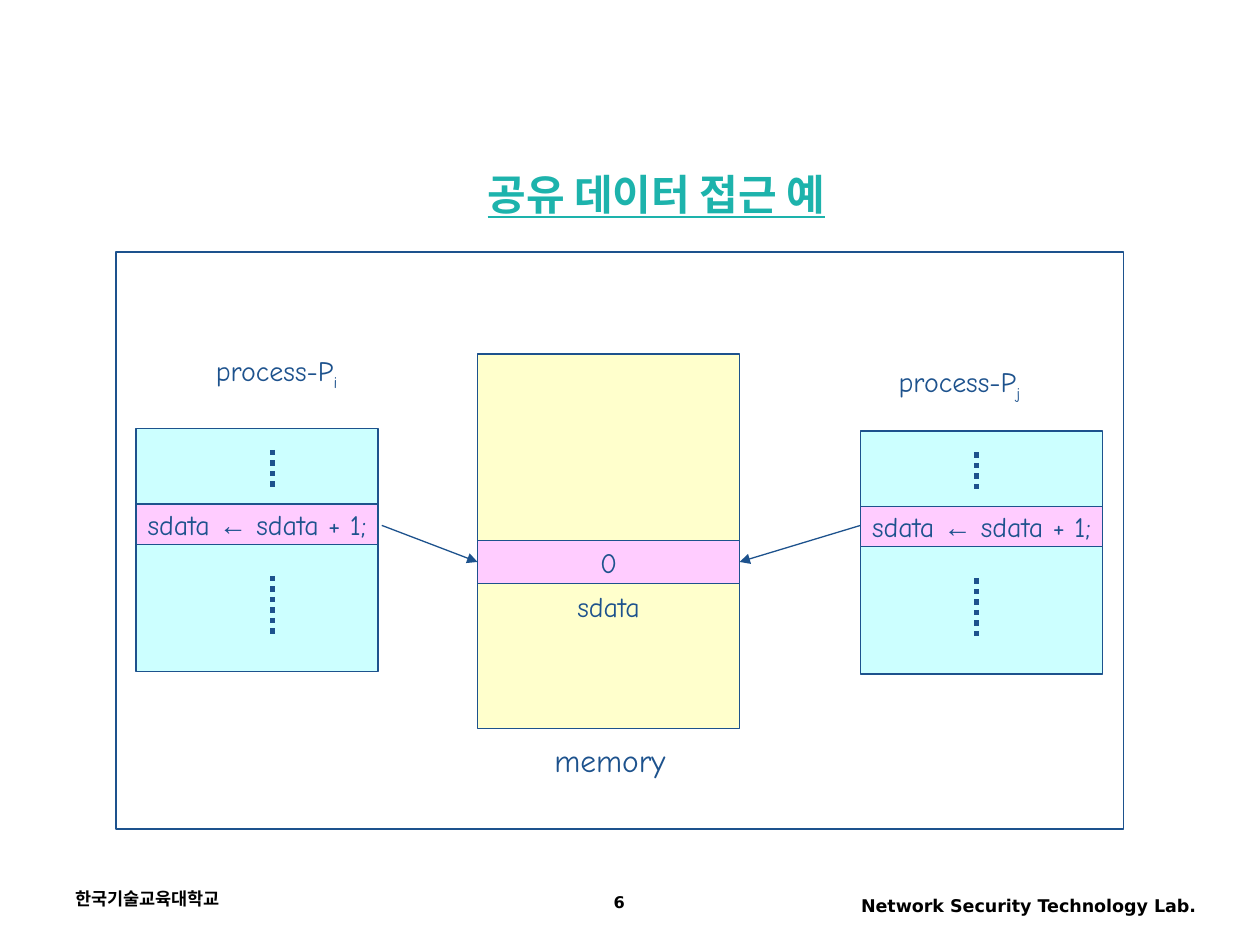
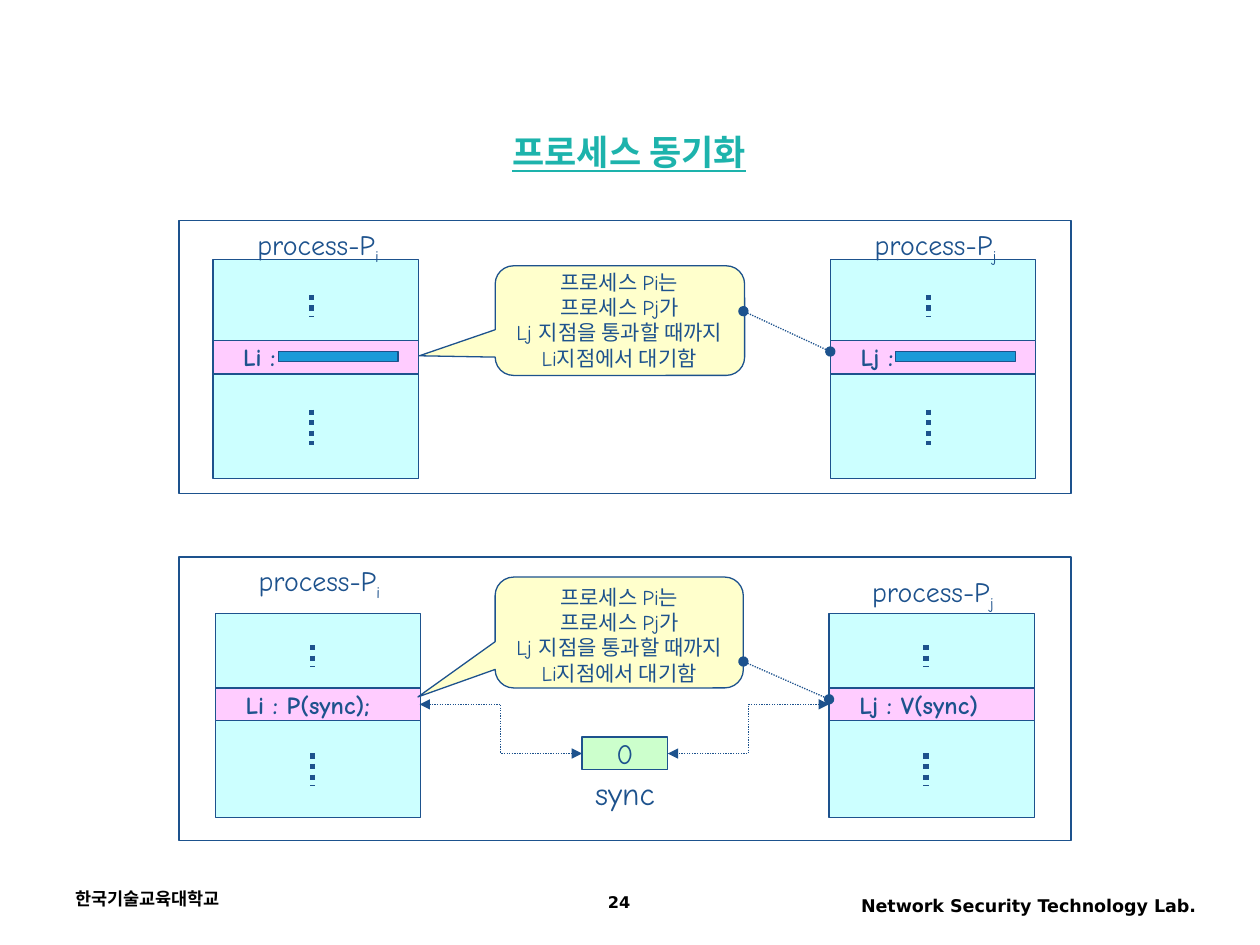
from pptx import Presentation
from pptx.dml.color import RGBColor
from pptx.enum.dml import MSO_LINE
from pptx.enum.shapes import MSO_CONNECTOR as CONN, MSO_SHAPE as SHAPE
from pptx.enum.text import MSO_ANCHOR as ANCHOR, MSO_AUTO_SIZE as FIT, PP_ALIGN as ALIGN
from pptx.oxml.ns import qn
from pptx.util import Emu, Pt
from lxml.etree import SubElement

# Shared style
PX = 9144  # 100 px to the inch
INK, TEAL, BLACK, WHITE = "1D528D", "1DB3AC", "000000", "FFFFFF"
CYAN, PINK, YELLOW, GREEN, BLUE = "CCFFFF", "FFCCFF", "FFFFCC", "CCFFCC", "1B9AD9"
BODY, HEAD, FOOT = "Comic Neue", "Arial Narrow", "DejaVu Sans"
WAIT_NOTE = ["프로세스 Pi는", "프로세스 Pj가", "Lj 지점을 통과할 때까지", "Li지점에서 대기함"]


def px(*lengths):
    return [Emu(n * PX) for n in lengths]


def rgb(value):
    return RGBColor.from_string(value)


def put(tf, lines, size=16, font=BODY, color=INK, bold=False, underline=False,
        align=ALIGN.CENTER, anchor=ANCHOR.TOP, wrap=False, fit=FIT.NONE,
        left=10, spacing=None):
    """Fill a frame; a line is a string or a list of (text, font, baseline) runs."""
    tf.auto_size, tf.word_wrap, tf.vertical_anchor = fit, wrap, anchor
    tf.margin_left, tf.margin_right, tf.margin_top, tf.margin_bottom = px(left, 10, 5, 5)
    for i, line in enumerate([lines] if isinstance(lines, str) else lines):
        p = tf.add_paragraph() if i else tf.paragraphs[0]
        p.alignment = align
        p.space_before = Pt(0)
        if spacing:
            p.line_spacing = spacing
        for text, face, base in [(line, font, 0)] if isinstance(line, str) else line:
            r = p.add_run()
            r.text = text
            r.font.name, r.font.size = face, Pt(size)
            r.font.bold, r.font.underline = bold, underline
            r.font.color.rgb = rgb(color)
            if base:
                r.font._element.set("baseline", str(base * 1000))


class Deck:
    def __init__(self):
        self.prs = Presentation()
        self.prs.slide_width, self.prs.slide_height = px(1000, 750)
        self.s = None

    def slide(self, title, box, size, number):
        self.s = self.prs.slides.add_slide(self.prs.slide_layouts[5])
        sp = self.s.shapes.title
        sp.left, sp.top, sp.width, sp.height = px(*box)
        put(sp.text_frame, title, size=size, font=HEAD, color=TEAL, bold=True,
            underline=True, anchor=ANCHOR.MIDDLE)
        footer = dict(font=FOOT, color=BLACK, bold=True, wrap=True)
        self.text((50, 700, 233, 33), "한국기술교육대학교", size=10, align=ALIGN.LEFT, **footer)
        self.text((642, 705, 317, 32), "Network Security Technology Lab.", size=10,
                  align=ALIGN.RIGHT, **footer)
        self.text((375, 705, 233, 28), str(number), size=9.2, spacing=0.9, **footer)

    def text(self, box, lines, **fmt):
        put(self.s.shapes.add_textbox(*px(*box)).text_frame, lines, **fmt)

    def label(self, box, lines, **fmt):
        self.text(box, lines, fit=FIT.SHAPE_TO_FIT_TEXT, **fmt)

    def shape(self, box, fill, lines=None, kind=SHAPE.RECTANGLE, **fmt):
        sp = self.s.shapes.add_shape(kind, *px(*box))
        sp.shadow.inherit = False
        sp.fill.solid()
        sp.fill.fore_color.rgb = rgb(fill)
        sp.line.color.rgb = rgb(INK)
        sp.line.width = Pt(0.75)
        if lines:
            put(sp.text_frame, lines, anchor=ANCHOR.MIDDLE, **fmt)
        return sp

    def line(self, start, end, kind=CONN.STRAIGHT, width=0.75, dotted=False,
             head=None, tail=None):
        sp = self.s.shapes.add_connector(kind, *px(*start, *end))
        sp.line.color.rgb = rgb(INK)
        sp.line.width = Pt(width)
        if dotted:
            sp.line.dash_style = MSO_LINE.ROUND_DOT
        spPr = sp._element.spPr
        for tag, end_type in (("a:headEnd", head), ("a:tailEnd", tail)):
            if end_type:
                SubElement(spPr.find(qn("a:ln")), qn(tag), type=end_type)
        SubElement(spPr, qn("a:effectLst"))

    def process(self, box, band, dots_x, dots, statement, **fmt):
        """Code block with a highlighted statement; band and dots are offsets."""
        x, y, w, h = box
        band_y, band_h = band
        self.shape(box, CYAN)
        self.shape((x, y + band_y, w, band_h), PINK, statement, **fmt)
        for top, bottom in dots:
            self.line((x + dots_x, y + top), (x + dots_x, y + bottom), width=3, dotted=True)

    def process_name(self, x, y, index):
        self.label((x, y, 117, 41), [[("process-P", BODY, 0), (index, BODY, -25)]])

    def callout(self, box, tip, text_y):
        sp = self.shape(box, YELLOW, kind=SHAPE.ROUNDED_RECTANGULAR_CALLOUT)
        for i, value in enumerate((*tip, 0.167)):
            sp.adjustments[i] = value
        self.label((397, text_y, 189, 90), WAIT_NOTE, size=12)


def shared_data(d):
    d.slide("공유 데이터 접근 예", (375, 133, 292, 42), 24, 6)
    d.shape((92, 200, 800, 458), WHITE)

    # Memory
    d.shape((379, 281, 208, 297), YELLOW)
    d.shape((379, 429, 208, 34), PINK, "0")
    d.label((448, 463, 70, 37), "sdata")
    d.label((430, 583, 108, 40), "memory", size=18)

    # Processes and their access to sdata
    increment = [[("sdata ", BODY, 0), ("←", "Arial", 0), (" sdata + 1;", BODY, 0)]]
    for x, y, dots_x in ((108, 340, 108), (683, 342, 92)):
        d.process((x, y, 192, 193), (60, 32), dots_x, ((17, 49), (117, 166)), increment)
    d.process_name(161, 276, "i")
    d.process_name(703, 284, "j")
    for start_x, end_x in ((303, 379), (683, 587)):
        d.line((start_x, 417), (end_x, 446), tail="triangle")


def synchronization(d):
    d.slide("프로세스 동기화", (283, 108, 433, 25), 20, 24)
    code = dict(size=14, bold=True, align=ALIGN.LEFT, left=24)

    # Requirement: Pi waits for Pj
    d.shape((142, 175, 708, 217), WHITE)
    for x, index in ((169, "i"), (659, "j")):
        d.process((x, 206, 163, 174), (64, 27), 78, ((28, 46), (119, 147)),
                  f"L{index} :", **code)
        d.process_name(x + 25, 176, index)
        d.shape((x + 52, 279, 95, 8), BLUE)
    d.callout((393, 211, 198, 87), (-0.804, 0.321), 209)
    d.line((590, 247), (659, 279), dotted=True, head="oval", tail="oval")

    # Solution: semaphore sync
    d.shape((142, 442, 708, 225), WHITE)
    for x, name_y, index, call in ((171, 442, "i", "P(sync);"), (658, 451, "j", "V(sync)")):
        d.process((x, 487, 163, 162), (59, 26), 77, ((25, 42), (111, 137)),
                  f"L{index} : {call}", **code)
        d.process_name(x + 24, name_y, index)
    d.callout((393, 458, 197, 88), (-0.811, 0.581), 459)
    d.line((590, 525), (658, 555), dotted=True, head="oval", tail="oval")
    d.shape((462, 585, 68, 26), GREEN, "0")
    d.label((456, 609, 80, 40), "sync", size=18)
    for start_x, end_x in ((333, 462), (658, 530)):
        d.line((start_x, 559), (end_x, 598), kind=CONN.ELBOW, dotted=True,
               head="triangle", tail="triangle")


def main():
    d = Deck()
    shared_data(d)
    synchronization(d)
    d.prs.save("out.pptx")


if __name__ == "__main__":
    main()
